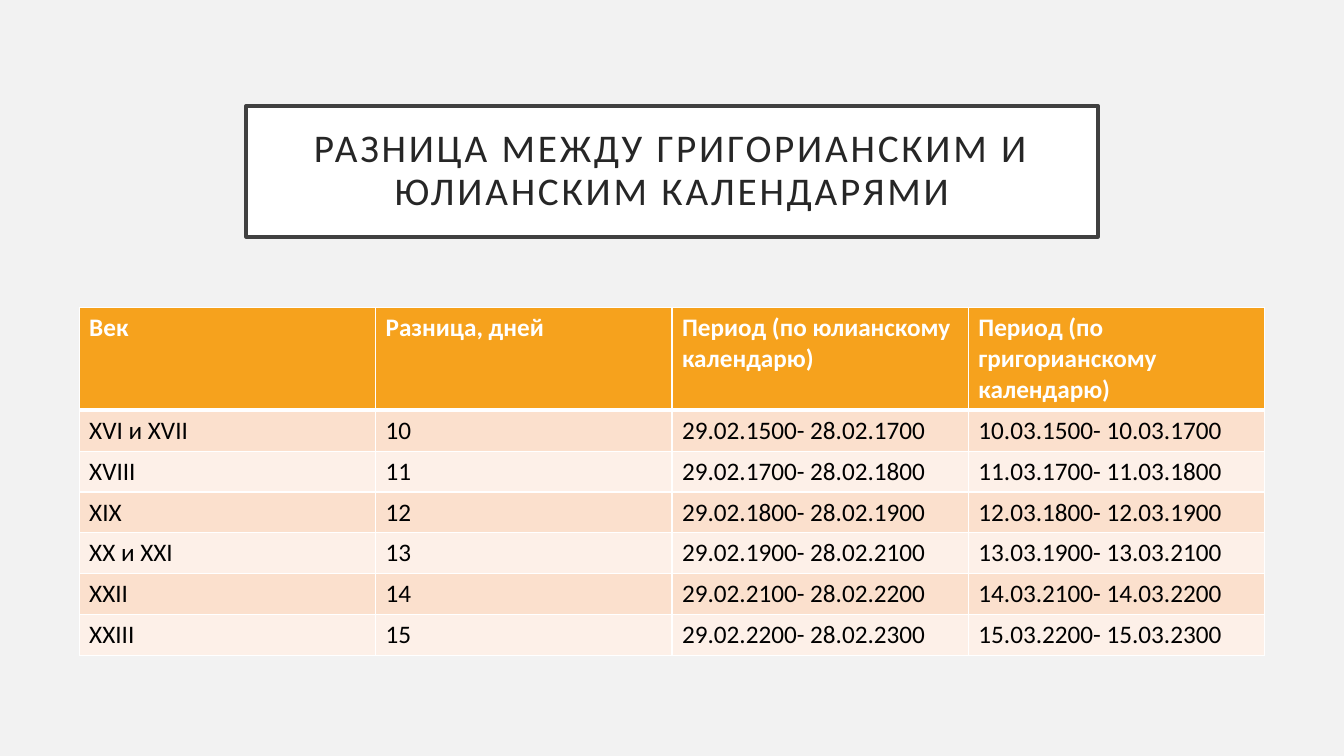
import pptx
import pptx.dml.color
import pptx.enum.shapes
import pptx.enum.text
import pptx.oxml
import pptx.oxml.ns
import pptx.util

TITLE = "РАЗНИЦА МЕЖДУ ГРИГОРИАНСКИМ И ЮЛИАНСКИМ КАЛЕНДАРЯМИ"
HEADER = ("Век", "Разница, дней", "Период (по юлианскому календарю)",
          "Период (по григорианскому календарю)")
CENTURIES = [
    ("XVI и XVII", "10", "29.02.1500- 28.02.1700", "10.03.1500- 10.03.1700"),
    ("XVIII", "11", "29.02.1700- 28.02.1800", "11.03.1700- 11.03.1800"),
    ("XIX", "12", "29.02.1800- 28.02.1900", "12.03.1800- 12.03.1900"),
    ("XX и XXI", "13", "29.02.1900- 28.02.2100", "13.03.1900- 13.03.2100"),
    ("XXII", "14", "29.02.2100- 28.02.2200", "14.03.2100- 14.03.2200"),
    ("XXIII", "15", "29.02.2200- 28.02.2300", "15.03.2200- 15.03.2300"),
]
FONT = "Calibri"
WHITE, BLACK, ORANGE = "FFFFFF", "000000", "F6A21D"
BANDS = ("FDF0E8", "FBE0CD")
SLIDE_W, SLIDE_H = 13.33, 7.5
TITLE_W, TITLE_H, TITLE_TOP, TITLE_INSET = 8.45, 1.3, 1.05, 0.2
COL_W, HEADER_H, ROW_H, TABLE_TOP = 2.94, 1.02, 0.4, 3.05

inches, pt = pptx.util.Inches, pptx.util.Pt


def rgb(code):
    """Turn a hex string into a colour."""
    return pptx.dml.color.RGBColor.from_string(code)


def paint(fill, code):
    """Make a fill solid in one colour."""
    fill.solid()
    fill.fore_color.rgb = rgb(code)


def style(r, size, code, bold=False):
    """Format one run."""
    r.font.name = FONT
    r.font.size = pt(size)
    r.font.bold = bold
    r.font.color.rgb = rgb(code)


def add_borders(cell, bottom):
    """Draw white cell borders, with a chosen bottom width in points."""
    props = cell._tc.get_or_add_tcPr()
    for i, (side, width) in enumerate(zip("LRTB", (1, 1, 1, bottom))):
        props.insert(i, pptx.oxml.parse_xml(
            f'<a:ln{side} {pptx.oxml.ns.nsdecls("a")} w="{pt(width)}">'
            f'<a:solidFill><a:srgbClr val="{WHITE}"/></a:solidFill></a:ln{side}>'))


def add_title(s):
    """Add the framed title."""
    box = s.shapes.add_shape(
        pptx.enum.shapes.MSO_SHAPE.RECTANGLE, inches((SLIDE_W - TITLE_W) / 2),
        inches(TITLE_TOP), inches(TITLE_W), inches(TITLE_H))
    box.shadow.inherit = False
    paint(box.fill, WHITE)
    box.line.color.rgb = rgb("404040")
    box.line.width = pt(2.5)
    tf = box.text_frame
    tf.word_wrap = True
    tf.vertical_anchor = pptx.enum.text.MSO_ANCHOR.MIDDLE
    tf.margin_left = tf.margin_right = inches(TITLE_INSET)
    tf.margin_top = tf.margin_bottom = inches(TITLE_INSET)
    tf.text = TITLE
    p = tf.paragraphs[0]
    p.alignment = pptx.enum.text.PP_ALIGN.CENTER
    p.line_spacing = 0.9
    style(p.runs[0], 28, "262626")
    p.runs[0].font._element.set("spc", "200")


def add_calendar_table(s):
    """Add the table of calendar differences."""
    rows = [HEADER, *CENTURIES]
    table_w = COL_W * len(HEADER)
    table = s.shapes.add_table(
        len(rows), len(HEADER), inches((SLIDE_W - table_w) / 2), inches(TABLE_TOP),
        inches(table_w), inches(HEADER_H + ROW_H * len(CENTURIES))).table
    for column in table.columns:
        column.width = inches(COL_W)
    for i, values in enumerate(rows):
        is_header = i == 0
        table.rows[i].height = inches(HEADER_H if is_header else ROW_H)
        for j, value in enumerate(values):
            cell = table.cell(i, j)
            cell.text = value
            paint(cell.fill, ORANGE if is_header else BANDS[i % 2])
            add_borders(cell, 3 if is_header else 1)
            style(cell.text_frame.paragraphs[0].runs[0], 18,
                  WHITE if is_header else BLACK, is_header)


def main():
    """Build and save the slide."""
    prs = pptx.Presentation()
    prs.slide_width, prs.slide_height = inches(SLIDE_W), inches(SLIDE_H)
    s = prs.slides.add_slide(prs.slide_layouts[6])
    paint(s.background.fill, "F2F2F2")
    add_title(s)
    add_calendar_table(s)
    prs.save("out.pptx")


if __name__ == "__main__":
    main()
